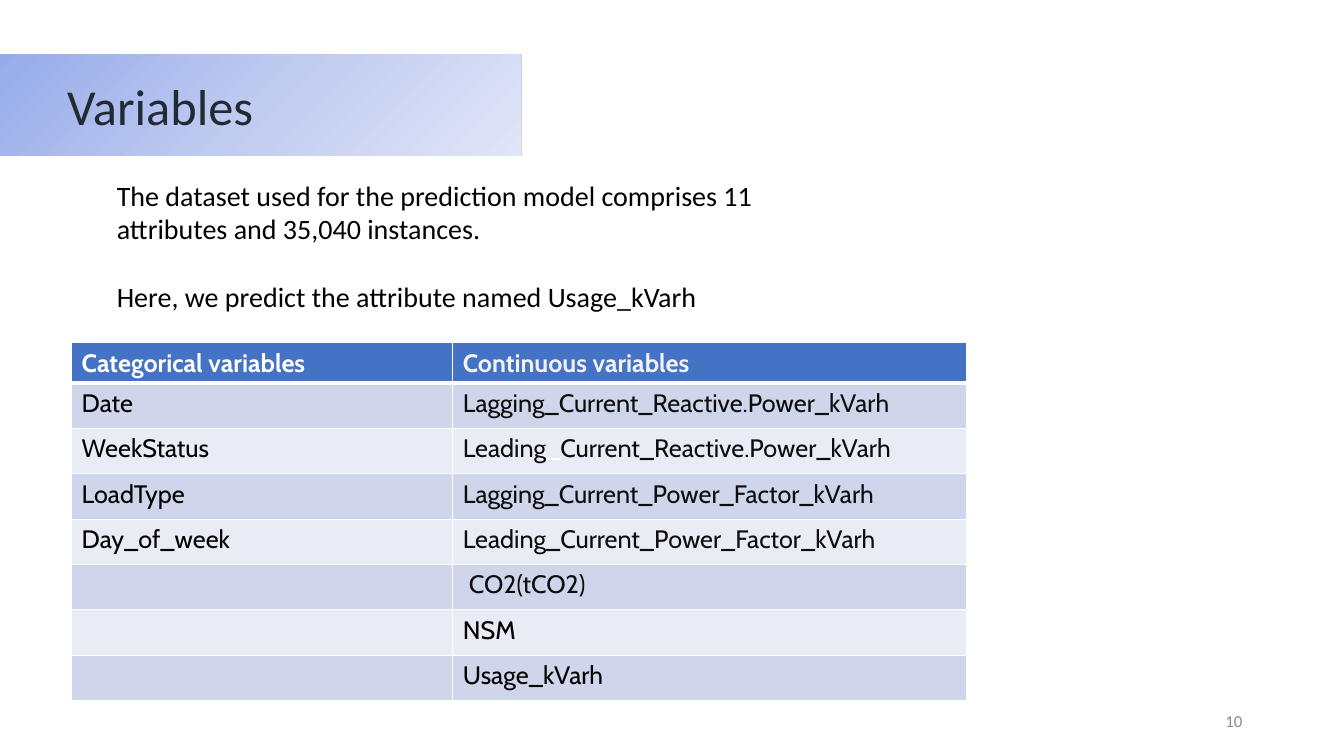
from copy import deepcopy

from lxml.etree import SubElement
from pptx import Presentation
from pptx.dml.color import RGBColor
from pptx.enum.shapes import MSO_SHAPE as Shape
from pptx.enum.text import MSO_ANCHOR as Anchor, PP_ALIGN as Align
from pptx.oxml.ns import qn
from pptx.util import Inches, Pt

WHITE, BLACK, INK, HEADER_INK = "FFFFFF", "000000", "0D0D0D", "F2F2F2"
HEADER_FILL, BANDS = "4472C4", ("CFD5EA", "E9EBF5")
BANNER_STOPS = ((0, "96ABEA"), (0.5, "C0CBF0"), (1, "E0E5F7"))
CATEGORICAL = ["Date", "WeekStatus", "LoadType", "Day_of_week"]
CONTINUOUS = [
    "Lagging_Current_Reactive.Power_kVarh",
    [("Leading", INK), ("_", WHITE), ("Current_Reactive.Power_kVarh", INK)],
    "Lagging_Current_Power_Factor_kVarh",
    "Leading_Current_Power_Factor_kVarh",
    "CO2(tCO2)",
    "NSM",
    "Usage_kVarh",
]


def rgb(value):
    return RGBColor.from_string(value)


def write(paragraph, text, font="Calibri", size=18, color=BLACK, bold=False,
          align=Align.LEFT, before=0):
    paragraph.alignment = align
    if before:
        paragraph.space_before = Pt(before)
    for words, ink in [(text, color)] if isinstance(text, str) else text:
        run = paragraph.add_run()
        run.text = words
        run.font.name, run.font.size, run.font.bold = font, Pt(size), bold
        run.font.color.rgb = rgb(ink)


class SlideBuilder:
    def __init__(self, presentation):
        self.width = presentation.slide_width
        self.height = presentation.slide_height
        self.slide = presentation.slides.add_slide(presentation.slide_layouts[6])

    def across(self, percent):
        return round(self.width * percent / 100)

    def down(self, percent):
        return round(self.height * percent / 100)

    def area(self, left, top, width, height):
        return self.across(left), self.down(top), self.across(width), self.down(height)

    def text(self, area, lines, anchor=Anchor.TOP, gap=0, **style):
        frame = self.slide.shapes.add_textbox(*self.area(*area)).text_frame
        frame.word_wrap = True
        frame.vertical_anchor = anchor
        for index, line in enumerate(lines):
            paragraph = frame.add_paragraph() if index else frame.paragraphs[0]
            write(paragraph, line, before=gap if index else 0, **style)

    def banner(self, area, title, stops, indent, **style):
        shape = self.slide.shapes.add_shape(Shape.RECTANGLE, *self.area(*area))
        shape.shadow.inherit = False
        shape.line.fill.background()
        shape.fill.gradient()
        shape.fill.gradient_angle = 315
        stop_list = shape.fill._fill._gradFill.gsLst
        stop_list.insert(1, deepcopy(stop_list[0]))
        for stop, (position, color) in zip(shape.fill.gradient_stops, stops):
            stop.position = position
            stop.color.rgb = rgb(color)
        frame = shape.text_frame
        frame.margin_left = self.across(indent)
        frame.vertical_anchor = Anchor.MIDDLE
        write(frame.paragraphs[0], title, **style)

    def table(self, left, top, columns, rows):
        area = self.area(left, top, sum(columns), sum(rows))
        frame = self.slide.shapes.add_table(len(rows), len(columns), *area)
        table = frame.table
        table.first_row = table.horz_banding = False
        for column, width in zip(table.columns, columns):
            column.width = self.across(width)
        for row, height in zip(table.rows, rows):
            row.height = self.down(height)
        return table

    def cell(self, cell, text, fill, top=1, bottom=1, **style):
        properties = cell._tc.get_or_add_tcPr()
        for side, points in zip("LRTB", (1, 1, top, bottom)):
            line = SubElement(properties, qn(f"a:ln{side}"), w=str(Pt(points)))
            solid = SubElement(line, qn("a:solidFill"))
            SubElement(solid, qn("a:srgbClr"), val=WHITE)
        cell.fill.solid()
        cell.fill.fore_color.rgb = rgb(fill)
        if text:
            write(cell.text_frame.paragraphs[0], text, font="Cabin", **style)


def main():
    presentation = Presentation()
    presentation.slide_width, presentation.slide_height = Inches(13.33), Inches(7.5)
    builder = SlideBuilder(presentation)

    builder.text((70.67, 92.67, 22.5, 5.33), ["10"], anchor=Anchor.MIDDLE,
                 size=12, color="8C8C8C", align=Align.RIGHT)

    table = builder.table(5.33, 45.33, [28.36, 38.26],
                          [5.33] + [6] * len(CONTINUOUS))
    headers = (("Categorical variables", WHITE), ("Continuous variables", HEADER_INK))
    for column, (header, color) in enumerate(headers):
        builder.cell(table.cell(0, column), header, HEADER_FILL, bottom=3,
                     color=color, bold=True)
    for column, names in enumerate((CATEGORICAL, CONTINUOUS)):
        for index in range(len(CONTINUOUS)):
            name = names[index] if index < len(names) else ""
            color = INK if column and index < 5 else BLACK
            builder.cell(table.cell(index + 1, column), name, BANDS[index % 2],
                         top=1 if index else 3, color=color)
    table.cell(CONTINUOUS.index("CO2(tCO2)") + 1, 1).margin_left = Inches(0.16)

    builder.text((7.95, 22.93, 50.04, 23.33), [
        "The dataset used for the prediction model comprises 11 attributes "
        "and 35,040 instances.",
        "Here, we predict the attribute named Usage_kVarh",
    ], gap=24.4, size=20)

    builder.banner((0, 7.2, 38.78, 13.33), "Variables", BANNER_STOPS, indent=5,
                   size=36, color="222A35")
    presentation.save("out.pptx")


if __name__ == "__main__":
    main()
